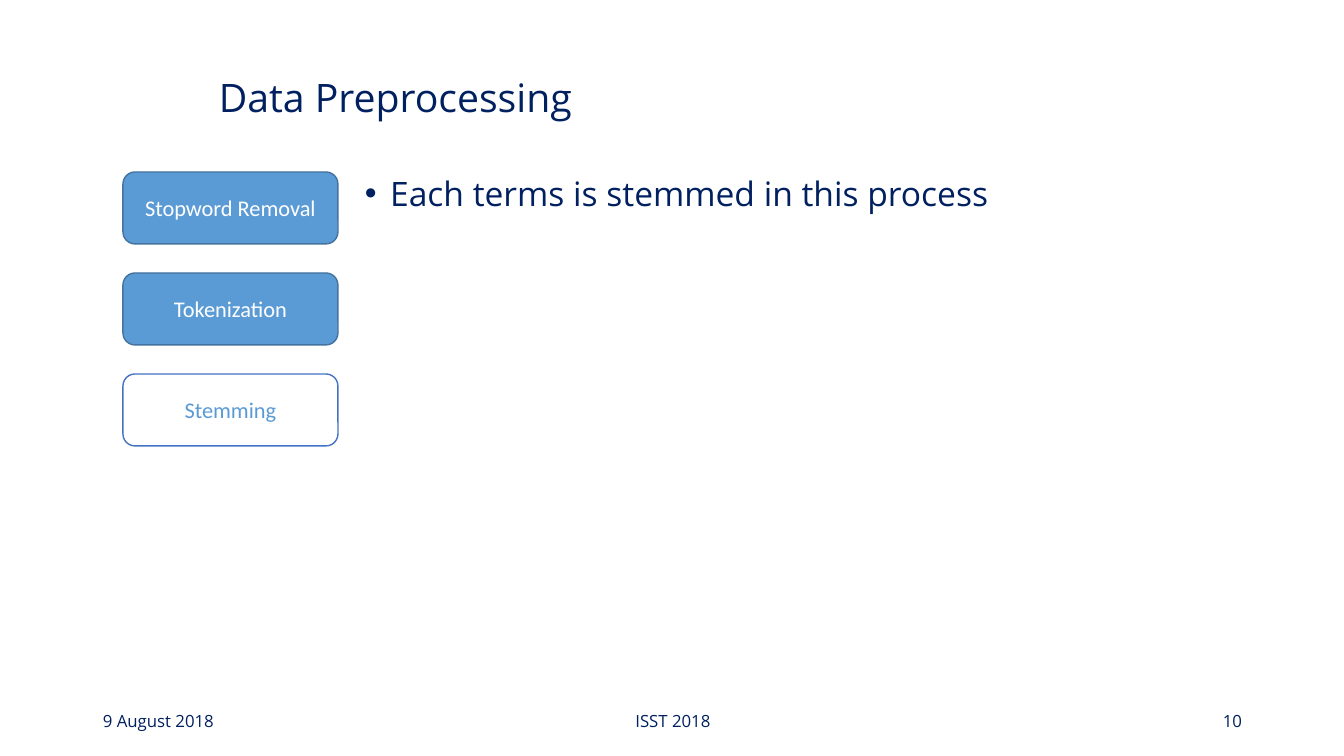
from dataclasses import dataclass

from lxml import etree
from pptx import Presentation
from pptx import util as u
from pptx.dml.color import RGBColor
from pptx.enum import shapes, text
from pptx.oxml import ns

SCALE = u.Inches(1) / 100.8
NAVY = RGBColor(0x00, 0x20, 0x60)
BLUE = RGBColor(0x5B, 0x9B, 0xD5)
DARK_BLUE = RGBColor(0x43, 0x73, 0x9E)
ROYAL_BLUE = RGBColor(0x44, 0x72, 0xC4)
WHITE = RGBColor(0xFF, 0xFF, 0xFF)
LEFT, CENTER, RIGHT = text.PP_ALIGN.LEFT, text.PP_ALIGN.CENTER, text.PP_ALIGN.RIGHT
TOP, MIDDLE = text.MSO_ANCHOR.TOP, text.MSO_ANCHOR.MIDDLE
STEP_LEFT, STEP_TOP, STEP_WIDTH, STEP_HEIGHT, STEP_PITCH = 123, 172, 215, 72, 101


@dataclass(frozen=True)
class Caption:
    """Navy text in a box measured in pixels."""
    wording: str
    box: tuple[int, int, int, int]
    size: int = 12
    align: text.PP_ALIGN = LEFT
    anchor: text.MSO_ANCHOR = MIDDLE


@dataclass(frozen=True)
class Step:
    """One stage of the preprocessing column."""
    wording: str
    fill: RGBColor = BLUE
    outline: RGBColor = DARK_BLUE
    ink: RGBColor = WHITE


TITLE = Caption("Data Preprocessing", (209, 53, 1210, 94), 28)
EXPLANATION = Caption("Each terms is stemmed in this process", (355, 172, 922, 503), 24, anchor=TOP)
FOOTERS = (
    Caption("9 August 2018", (93, 701, 302, 40)),
    Caption("ISST 2018", (446, 701, 454, 40), align=CENTER),
    Caption("10", (950, 701, 302, 40), align=RIGHT),
)
STEPS = (
    Step("Stopword Removal"),
    Step("Tokenization"),
    Step("Stemming", WHITE, ROYAL_BLUE, BLUE),
)


def emu(*pixels: int) -> list[int]:
    """Turn pixels into EMU."""
    return [round(pixel * SCALE) for pixel in pixels]


def write(frame, wording: str, size: int, font: str, ink: RGBColor, align, anchor):
    """Fill a text frame with one run and return its paragraph."""
    frame.word_wrap = True
    frame.vertical_anchor = anchor
    paragraph = frame.paragraphs[0]
    paragraph.alignment = align
    run = paragraph.add_run()
    run.text = wording
    run.font.size = u.Pt(size)
    run.font.name = font
    run.font.color.rgb = ink
    return paragraph


def draw_caption(slide, caption: Caption):
    """Add a caption and return its paragraph."""
    frame = slide.shapes.add_textbox(*emu(*caption.box)).text_frame
    return write(frame, caption.wording, caption.size, "Open Sans", NAVY,
                 caption.align, caption.anchor)


def add_bullet(paragraph) -> None:
    """Give a paragraph a hanging round bullet."""
    properties = paragraph._p.get_or_add_pPr()
    indent = u.Inches(0.25)
    properties.set("marL", str(indent))
    properties.set("indent", str(-indent))
    etree.SubElement(properties, ns.qn("a:buFont")).set("typeface", "Arial")
    etree.SubElement(properties, ns.qn("a:buChar")).set("char", "•")


def draw_step(slide, step: Step, row: int) -> None:
    """Add a rounded step in its row of the column."""
    box = emu(STEP_LEFT, STEP_TOP + row * STEP_PITCH, STEP_WIDTH, STEP_HEIGHT)
    stage = slide.shapes.add_shape(shapes.MSO_SHAPE.ROUNDED_RECTANGLE, *box)
    stage.shadow.inherit = False
    stage.fill.solid()
    stage.fill.fore_color.rgb = step.fill
    stage.line.color.rgb = step.outline
    stage.line.width = u.Pt(1)
    write(stage.text_frame, step.wording, 16, "Calibri", step.ink, CENTER, MIDDLE)


def main() -> None:
    """Build and save the slide."""
    deck = Presentation()
    deck.slide_width, deck.slide_height = emu(1344, 756)
    slide = deck.slides.add_slide(deck.slide_layouts[6])
    heading = draw_caption(slide, TITLE)
    heading.line_spacing = 0.9
    explanation = draw_caption(slide, EXPLANATION)
    explanation.line_spacing = 0.9
    explanation.space_before = u.Pt(10)
    add_bullet(explanation)
    for footer in FOOTERS:
        draw_caption(slide, footer)
    for row, step in enumerate(STEPS):
        draw_step(slide, step, row)
    deck.save("out.pptx")


main()
